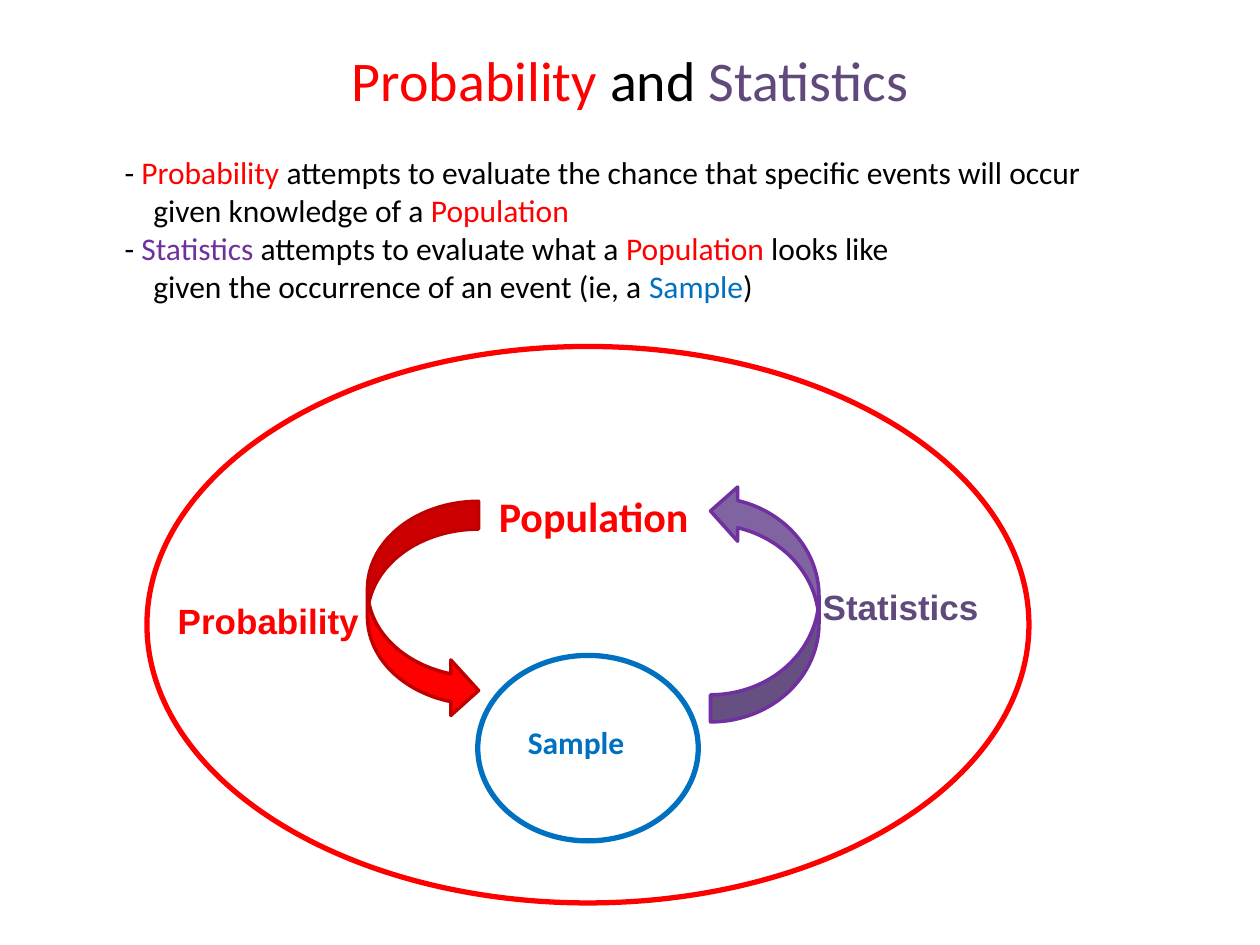
from typing import NamedTuple, Optional

import pptx
import pptx.dml.color
import pptx.enum.shapes
import pptx.enum.text
import pptx.oxml.ns
import pptx.util
from lxml import etree

Pt = pptx.util.Pt
ShapeKind = pptx.enum.shapes.MSO_SHAPE
Align = pptx.enum.text.PP_ALIGN
Anchor = pptx.enum.text.MSO_ANCHOR

BLACK, RED, DARK_RED = "000000", "FF0000", "C00000"
PLUM, PURPLE, LILAC, BLUE = "604A7B", "7030A0", "8064A2", "0070C0"


class Box(NamedTuple):
    left: float
    top: float
    width: float
    height: float


class Run(NamedTuple):
    text: str
    color: str = BLACK


class Line(NamedTuple):
    runs: list[Run]
    indent: float = 0


class Label(NamedTuple):
    text: str
    box: Box
    size: float
    color: str
    font: str


class Outline(NamedTuple):
    kind: ShapeKind
    box: Box
    color: str
    weight: float
    fill: Optional[str] = None
    rotation: float = 0


TITLE_BOX = Box(36, 0, 648, 90)
TITLE = [Line([Run("Probability", RED), Run(" and "), Run("Statistics", PLUM)])]

DEFINITIONS_BOX = Box(60, 84, 576, 94.5)
DASH_INDENT, CONTINUED_INDENT = 4, 20.4
DEFINITIONS = [
    Line([Run("- "), Run("Probability", RED),
          Run(" attempts to evaluate the chance that specific events will occur")], DASH_INDENT),
    Line([Run("given knowledge of a "), Run("Population", RED)], CONTINUED_INDENT),
    Line([Run("- "), Run("Statistics", PURPLE), Run(" attempts to evaluate what a "),
          Run("Population", RED), Run(" looks like")], DASH_INDENT),
    Line([Run("given the occurrence of an event (ie, a "), Run("Sample", BLUE), Run(")")],
         CONTINUED_INDENT),
]

OUTLINES = [
    Outline(ShapeKind.OVAL, Box(84, 198, 504, 318), RED, 3),
    Outline(ShapeKind.OVAL, Box(273, 374.5, 126, 106), BLUE, 3),
    Outline(ShapeKind.CURVED_RIGHT_ARROW, Box(210, 286.5, 63.5, 124), DARK_RED, 2, RED),
    Outline(ShapeKind.CURVED_RIGHT_ARROW, Box(406, 276.5, 62, 136), PURPLE, 2, LILAC, 180),
]

LABELS = [
    Label("Population", Box(278, 276.5, 124, 36), 24, RED, "Calibri"),
    Label("Sample", Box(294.5, 409.5, 70, 29), 18, BLUE, "Calibri"),
    Label("Probability", Box(94.5, 339, 129.5, 31.5), 20, RED, "Arial"),
    Label("Statistics", Box(463, 331, 104.5, 31.5), 20, PLUM, "Arial"),
]


def paint(color_format, hex_color: str) -> None:
    color_format.rgb = pptx.dml.color.RGBColor.from_string(hex_color)


def in_points(box: Box) -> list[pptx.util.Length]:
    return [Pt(length) for length in box]


def move(shape, box: Box) -> None:
    shape.left, shape.top, shape.width, shape.height = in_points(box)


def write_text(frame, lines: list[Line], *, size: float, font: str = "Calibri",
               bold: bool = False, align: Align = Align.LEFT,
               anchor: Anchor = Anchor.TOP, wrap: bool = False) -> None:
    frame.word_wrap = wrap
    frame.auto_size = pptx.enum.text.MSO_AUTO_SIZE.NONE
    frame.vertical_anchor = anchor
    for index, line in enumerate(lines):
        paragraph = frame.add_paragraph() if index else frame.paragraphs[0]
        properties = paragraph._p.get_or_add_pPr()
        properties.set("marL", str(Pt(line.indent)))
        properties.set("indent", "0")
        etree.SubElement(properties, pptx.oxml.ns.qn("a:buNone"))
        paragraph.alignment = align
        paragraph.space_before = Pt(0)
        for part in line.runs:
            run = paragraph.add_run()
            run.text = part.text
            run.font.size, run.font.name, run.font.bold = Pt(size), font, bold
            paint(run.font.color, part.color)


def draw_outline(slide, outline: Outline) -> None:
    shape = slide.shapes.add_shape(outline.kind, *in_points(outline.box))
    shape.shadow.inherit = False
    shape.rotation = outline.rotation
    shape.line.width = Pt(outline.weight)
    paint(shape.line.color, outline.color)
    if outline.fill:
        shape.fill.solid()
        paint(shape.fill.fore_color, outline.fill)
    else:
        shape.fill.background()


def draw_label(slide, label: Label) -> None:
    text_box = slide.shapes.add_textbox(*in_points(label.box))
    write_text(text_box.text_frame, [Line([Run(label.text, label.color)])],
               size=label.size, font=label.font, bold=True)


def main() -> None:
    deck = pptx.Presentation()
    deck.slide_width, deck.slide_height = Pt(720), Pt(540)
    slide = deck.slides.add_slide(deck.slide_layouts[1])

    title, definitions = slide.placeholders
    move(title, TITLE_BOX)
    write_text(title.text_frame, TITLE, size=32, align=Align.CENTER,
               anchor=Anchor.MIDDLE, wrap=True)
    move(definitions, DEFINITIONS_BOX)
    write_text(definitions.text_frame, DEFINITIONS, size=18, wrap=True)

    for outline in OUTLINES:
        draw_outline(slide, outline)
    for label in LABELS:
        draw_label(slide, label)

    deck.save("out.pptx")


if __name__ == "__main__":
    main()
